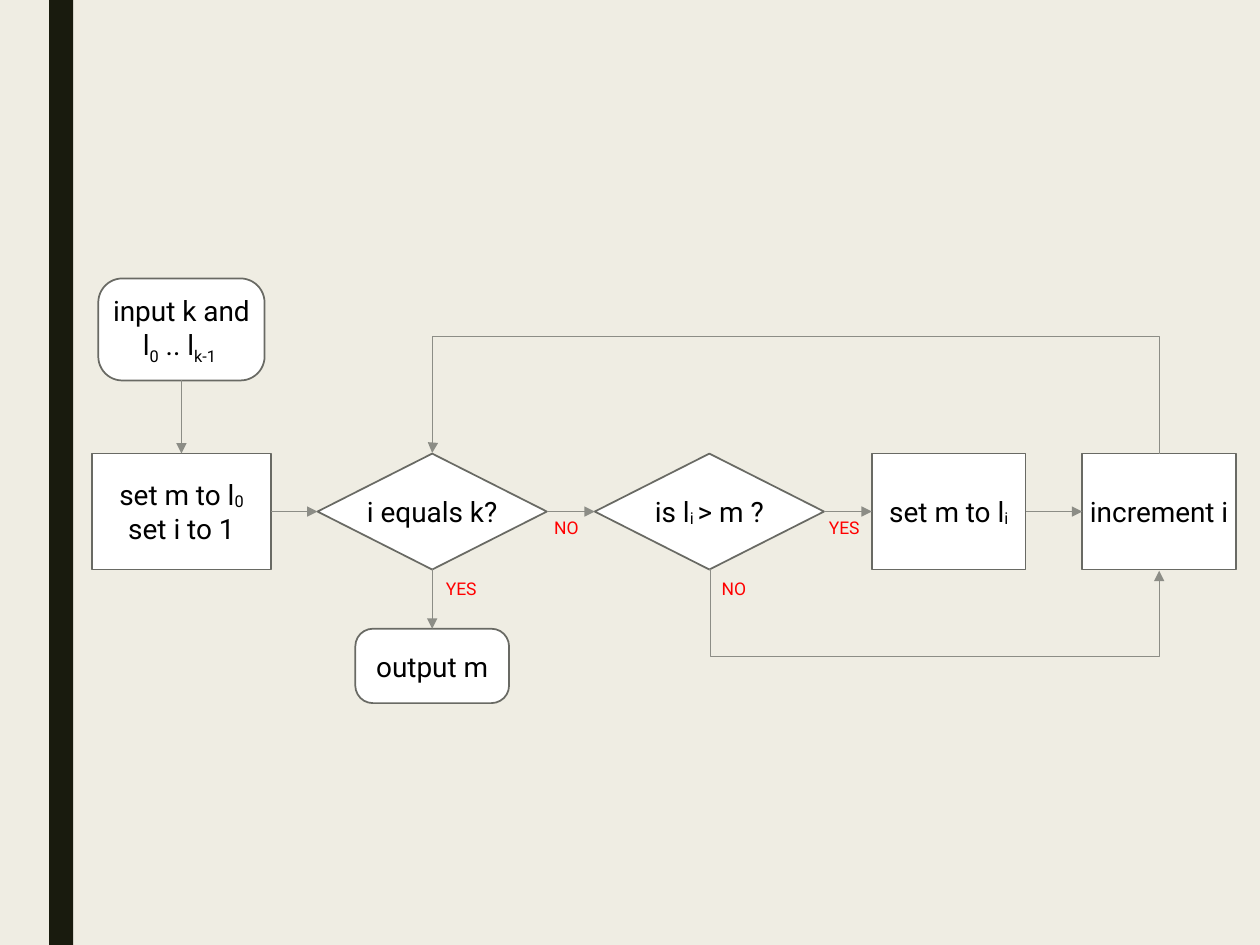
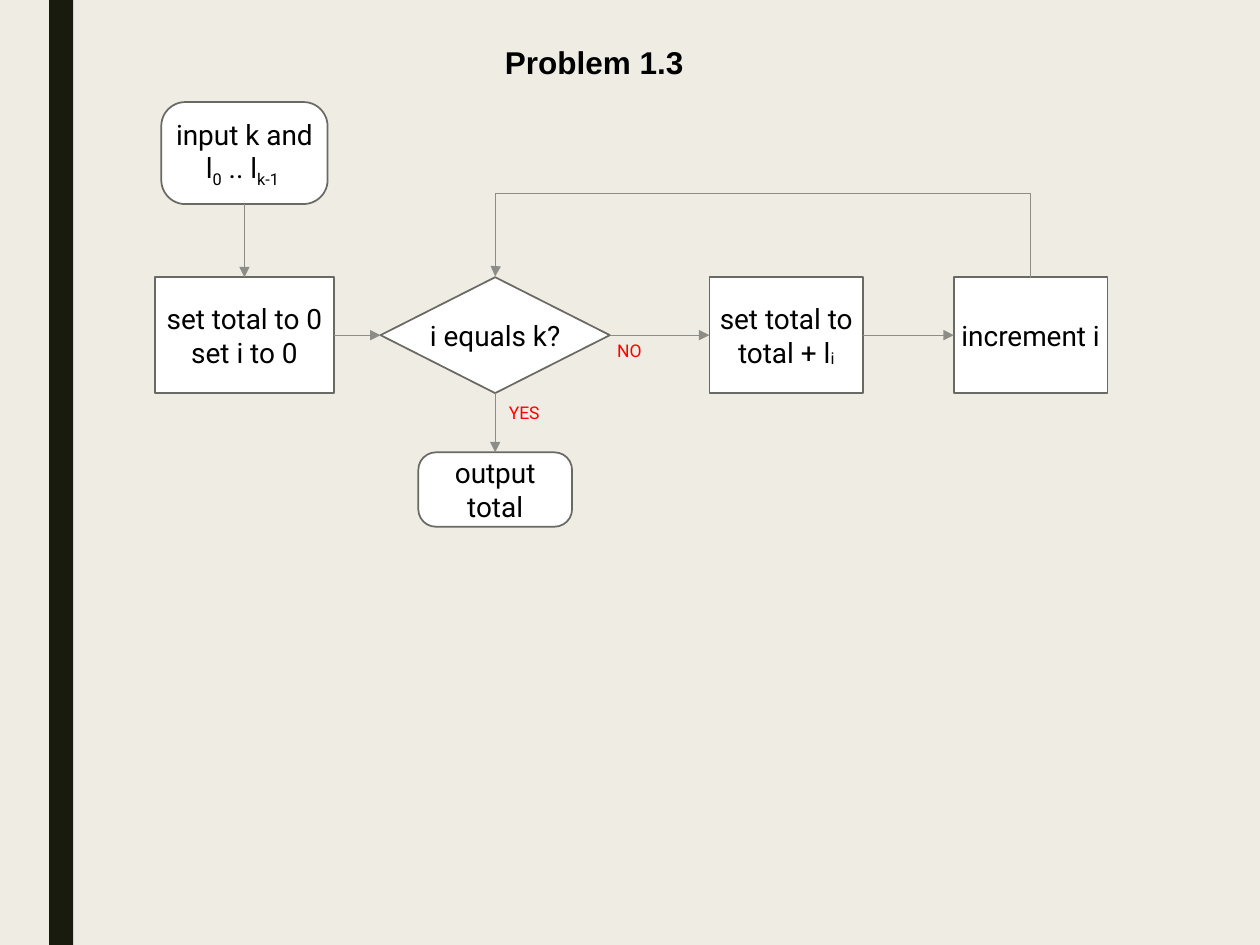
from dataclasses import dataclass

from pptx import Presentation
from pptx.dml.color import RGBColor
from pptx.enum.shapes import MSO_CONNECTOR, MSO_SHAPE
from pptx.enum.text import MSO_ANCHOR, MSO_AUTO_SIZE, PP_ALIGN
from pptx.oxml.ns import qn
from pptx.util import Inches, Pt
from lxml import etree

RECT = MSO_SHAPE.RECTANGLE
ROUNDED = MSO_SHAPE.ROUNDED_RECTANGLE
DIAMOND = MSO_SHAPE.DIAMOND
STRAIGHT = MSO_CONNECTOR.STRAIGHT
ELBOW = MSO_CONNECTOR.ELBOW
CENTER = PP_ALIGN.CENTER
LEFT = PP_ALIGN.LEFT
MIDDLE = MSO_ANCHOR.MIDDLE
GROW = MSO_AUTO_SIZE.SHAPE_TO_FIT_TEXT

# Connection sites
TOP_SIDE, LEFT_SIDE, BOTTOM_SIDE, RIGHT_SIDE = range(4)


@dataclass(frozen=True)
class Theme:
    background: RGBColor = RGBColor.from_string("EFEDE3")
    band: RGBColor = RGBColor.from_string("191B0E")
    node_fill: RGBColor = RGBColor.from_string("FFFFFF")
    node_line: RGBColor = RGBColor.from_string("696A64")
    arrow: RGBColor = RGBColor.from_string("8C8D86")
    text: RGBColor = RGBColor.from_string("000000")
    answer: RGBColor = RGBColor.from_string("FF0000")
    flow_font: str = "Roboto"
    title_font: str = "Arial"
    node_size: Pt = Pt(16)
    answer_size: Pt = Pt(10)
    title_size: Pt = Pt(18)
    node_border: Pt = Pt(1)
    arrow_width: Pt = Pt(0.5)
    inset: Inches = Inches(0.03)


THEME = Theme()

# Node sizes in inches
INPUT_SIZE = (1.32, 0.81)
SETUP_SIZE = (1.42, 0.92)
STEP_SIZE = (1.22, 0.92)
DECISION_SIZE = (1.82, 0.92)
OUTPUT_SIZE = (1.22, 0.59)
CORNER = 0.236

# Subscript depths in thousandths of a percent
LOW, SLIGHT = -25000, -6000
INPUT_TEXT = [["input k and l", ("0", LOW), " .. l", ("k-1 ", LOW)]]


# Text
def style_font(paragraph, name, size, color, align=CENTER, bold=False):
    paragraph.alignment = align
    font = paragraph.font
    font.name, font.size, font.bold = name, size, bold
    font.color.rgb = color


def set_insets(frame):
    frame.margin_left = frame.margin_right = THEME.inset
    frame.margin_top = frame.margin_bottom = THEME.inset
    frame.vertical_anchor = MIDDLE


def add_paragraphs(frame, paragraphs):
    """Each paragraph is a list of strings or (string, baseline) pairs."""
    for index, pieces in enumerate(paragraphs):
        paragraph = frame.add_paragraph() if index else frame.paragraphs[0]
        style_font(paragraph, THEME.flow_font, THEME.node_size, THEME.text)
        for piece in pieces:
            text, baseline = (piece, 0) if isinstance(piece, str) else piece
            run = paragraph.add_run()
            run.text = text
            if baseline:
                run.font._element.set("baseline", str(baseline))


def add_label(slide, text, left, top, width, height):
    label = slide.shapes.add_textbox(*map(Inches, (left, top, width, height)))
    frame = label.text_frame
    frame.word_wrap = False
    frame.auto_size = GROW
    frame.paragraphs[0].text = text
    return frame


def add_answer(slide, text, left, top):
    width = 0.34 if text == "YES" else 0.27
    frame = add_label(slide, text, left, top, width, 0.23)
    set_insets(frame)
    style_font(frame.paragraphs[0], THEME.flow_font, THEME.answer_size, THEME.answer)


def add_title(slide, text):
    frame = add_label(slide, text, 3.91, 0.29, 1.63, 0.4)
    style_font(frame.paragraphs[0], THEME.title_font, THEME.title_size,
               THEME.text, LEFT, bold=True)


# Flowchart nodes
def add_node(slide, kind, left, top, size, paragraphs):
    node = slide.shapes.add_shape(kind, *map(Inches, (left, top, *size)))
    node.shadow.inherit = False
    node.fill.solid()
    node.fill.fore_color.rgb = THEME.node_fill
    node.line.color.rgb = THEME.node_line
    node.line.width = THEME.node_border
    if kind == ROUNDED:
        node.adjustments[0] = CORNER
    frame = node.text_frame
    frame.word_wrap = kind != DIAMOND
    set_insets(frame)
    add_paragraphs(frame, paragraphs)
    return node


# Arrows
def style_arrow(arrow):
    arrow.line.color.rgb = THEME.arrow
    arrow.line.width = THEME.arrow_width
    properties = arrow._element.spPr
    etree.SubElement(properties.find(qn("a:ln")), qn("a:tailEnd"), type="triangle")
    etree.SubElement(properties, qn("a:effectLst"))


def add_arrow(slide, source, target, source_side=RIGHT_SIDE, target_side=LEFT_SIDE):
    arrow = slide.shapes.add_connector(STRAIGHT, 0, 0, 0, 0)
    arrow.begin_connect(source, source_side)
    arrow.end_connect(target, target_side)
    style_arrow(arrow)


def add_bent_arrow(slide, left, top, width, height, bends):
    """Draw a three-bend arrow; bends are fractions of the width and height."""
    arrow = slide.shapes.add_connector(
        ELBOW, *map(int, (left, top, left + width, top + height)))
    style_arrow(arrow)
    geometry = arrow._element.spPr.find(qn("a:prstGeom"))
    geometry.set("prst", "bentConnector4")
    guides = geometry.find(qn("a:avLst"))
    for number, bend in enumerate(bends, 1):
        etree.SubElement(guides, qn("a:gd"), name=f"adj{number}",
                         fmla=f"val {round(bend * 100000)}")
    return arrow


def center_x(node):
    return node.left + node.width // 2


def add_loop_back(slide, source, target, rail):
    """Run from the top of source, along the rail above, to the top of target."""
    gap = Inches(0.01)
    span = center_x(source) - center_x(target)
    middle = (center_x(source) + center_x(target)) / 2
    rise = (source.top - Inches(rail)) / gap
    arrow = add_bent_arrow(slide, middle - gap / 2, source.top - span / 2,
                           gap, span, (rise, 0.999))
    arrow._element.spPr.find(qn("a:xfrm")).set("flipV", "1")
    arrow._element.spPr.find(qn("a:xfrm")).set("rot", "16200000")


def add_bypass(slide, source, target, rail):
    """Run from the bottom of source, along the rail below, to that of target."""
    gap = Inches(0.01)
    bottom = source.top + source.height
    drop = (Inches(rail) - bottom) / gap
    add_bent_arrow(slide, center_x(source), bottom,
                   center_x(target) - center_x(source), gap, (0.002, drop))


# Shared slide parts
def add_slide(deck):
    slide = deck.slides.add_slide(deck.slide_layouts[6])
    slide.background.fill.solid()
    slide.background.fill.fore_color.rgb = THEME.background
    band = slide.shapes.add_shape(RECT, Inches(0.39), 0, Inches(0.19), deck.slide_height)
    band.shadow.inherit = False
    band.fill.solid()
    band.fill.fore_color.rgb = THEME.band
    band.line.fill.background()
    return slide


def add_loop_start(slide, left, top, setup_text, output_text):
    """Add input, setup, end test and output; return the end test."""
    row = top + 1.39
    source = add_node(slide, ROUNDED, left + 0.05, top, INPUT_SIZE, INPUT_TEXT)
    setup = add_node(slide, RECT, left, row, SETUP_SIZE, setup_text)
    end_test = add_node(slide, DIAMOND, left + 1.79, row, DECISION_SIZE, [["i equals k?"]])
    output = add_node(slide, ROUNDED, left + 2.09, top + 2.78, OUTPUT_SIZE, [[output_text]])
    add_answer(slide, "YES", left + 2.76, top + 2.35)
    add_answer(slide, "NO", left + 3.63, top + 1.86)
    add_arrow(slide, source, setup, BOTTOM_SIDE, TOP_SIDE)
    add_arrow(slide, setup, end_test)
    add_arrow(slide, end_test, output, BOTTOM_SIDE, TOP_SIDE)
    return end_test


# Slides
def build_maximum(deck):
    slide = add_slide(deck)
    row = 3.6
    end_test = add_loop_start(slide, 0.73, 2.21,
                              [["set m to l", ("0", SLIGHT)], ["set i to 1"]], "output m")
    compare = add_node(slide, DIAMOND, 4.72, row, DECISION_SIZE,
                       [["is l", ("i ", SLIGHT), "> m ?"]])
    update = add_node(slide, RECT, 6.92, row, STEP_SIZE, [["set m to l", ("i", SLIGHT)]])
    increment = add_node(slide, RECT, 8.59, row, STEP_SIZE, [["increment i"]])
    add_answer(slide, "YES", 6.53, 4.07)
    add_answer(slide, "NO", 5.69, 4.56)
    add_arrow(slide, end_test, compare)
    add_arrow(slide, compare, update)
    add_arrow(slide, update, increment)
    add_bypass(slide, compare, increment, 5.22)
    add_loop_back(slide, increment, end_test, 2.65)


def build_total(deck):
    slide = add_slide(deck)
    row = 2.2
    add_title(slide, "Problem 1.3")
    end_test = add_loop_start(slide, 1.23, 0.81,
                              [["set total to 0"], ["set i to 0"]], "output total")
    update = add_node(slide, RECT, 5.63, row, STEP_SIZE,
                      [["set total to total + l", ("i", SLIGHT)]])
    increment = add_node(slide, RECT, 7.57, row, STEP_SIZE, [["increment i"]])
    add_arrow(slide, end_test, update)
    add_arrow(slide, update, increment)
    add_loop_back(slide, increment, end_test, 1.52)


def main():
    deck = Presentation()
    deck.slide_width, deck.slide_height = Inches(10), Inches(7.5)
    build_maximum(deck)
    build_total(deck)
    deck.save("out.pptx")


if __name__ == "__main__":
    main()
